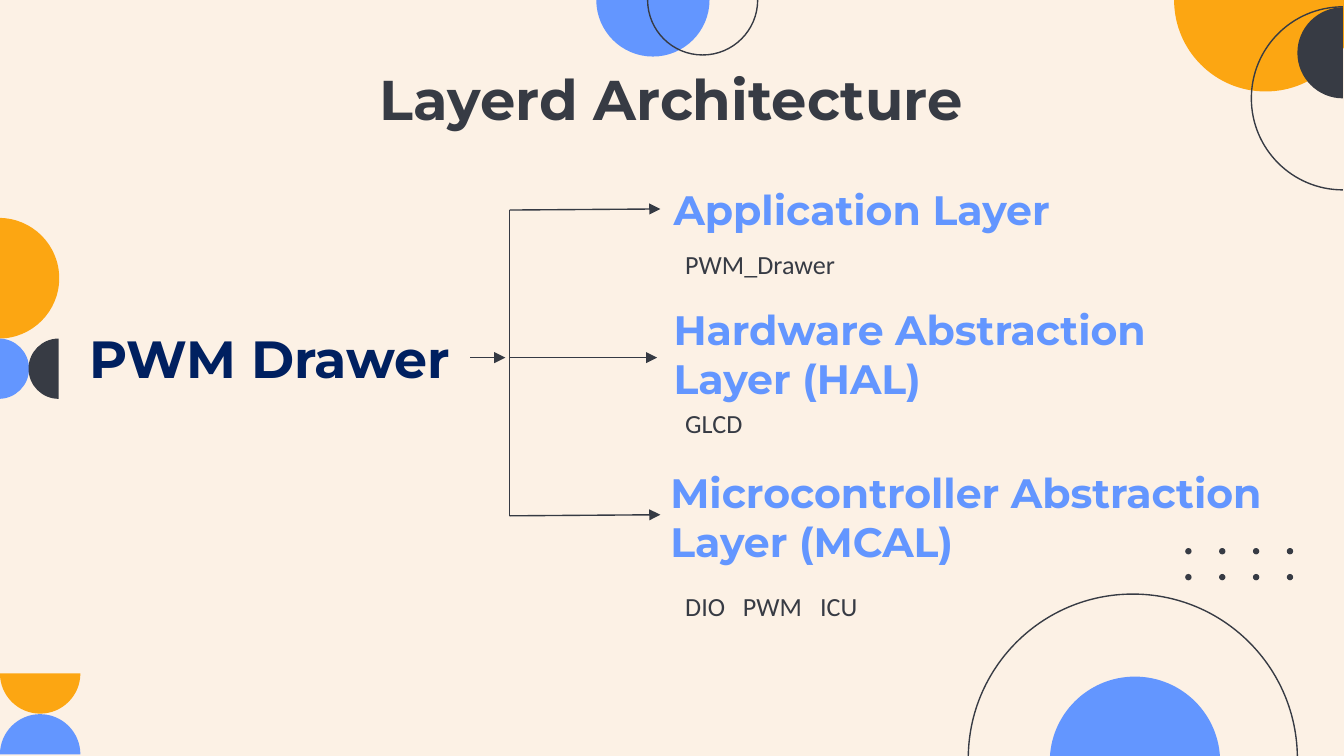
from math import cos, radians, sin

from lxml.etree import SubElement
from pptx import Presentation
from pptx.dml.color import RGBColor
from pptx.enum.shapes import MSO_CONNECTOR, MSO_SHAPE
from pptx.enum.text import MSO_ANCHOR, MSO_AUTO_SIZE, PP_ALIGN
from pptx.oxml.ns import qn
from pptx.util import Cm, Pt

CREAM, DARK, BLUE = "FCF1E5", "373B44", "6396FF"
GOLD, NAVY, LINK = "FCA612", "002060", "353A43"
DOWN, LEFT, UP, RIGHT = 0, 90, 180, 270
BEND = 0.5523

HALVES = [
    (23.92, 0, 1.73, DOWN, GOLD),
    (0.76, 14.26, 0.76, UP, BLUE),
    (0.76, 12.73, 0.76, DOWN, GOLD),
    (12.34, 0, 1.07, DOWN, BLUE),
    (-0.02, 5.26, 1.14, RIGHT, GOLD),
    (-0.02, 6.97, 0.57, RIGHT, BLUE),
    (1.11, 6.97, 0.57, LEFT, DARK),
    (25.38, 1, 0.86, LEFT, DARK),
    (21.45, 14.4, 1.61, UP, BLUE),
]
RINGS = [
    (13.28, 0, 1.04, DOWN),
    (25.38, 1.86, 1.73, LEFT),
    (21.41, 14.34, 3.11, UP),
]
HEADS = [
    ("Application Layer", 12.48, 3.57, 8.84),
    ("Hardware Abstraction Layer (HAL)", 12.48, 6.3, 10.26),
    ("Microcontroller Abstraction Layer (MCAL)", 12.42, 9.38, 12.34),
]
PARTS = [("PWM_Drawer", 4.7), ("GLCD", 7.7), ("DIO\tPWM\tICU", 11.16)]


def paint(form, color):
    """Set the colour of a fill, or of a font."""
    if hasattr(form, "solid"):
        form.solid()
        form.fore_color.rgb = RGBColor.from_string(color)
    else:
        form.color.rgb = RGBColor.from_string(color)


def spot(x, y, size, turn, lean=0):
    """Return the point at an angle of a circle, moved along its tangent."""
    across, along = cos(radians(turn)), sin(radians(turn))
    return (Cm(x + size * (across - lean * along)),
            Cm(y + size * (along + lean * across)))


def add_half(slide, x, y, size, turn, color, ring=False):
    """Draw a half circle round x, y from two curves, clockwise from turn."""
    ends = [spot(x, y, size, turn + step) for step in (0, 90, 180)]
    pen = slide.shapes.build_freeform(*ends[0])
    pen.add_line_segments(ends[1:], close=not ring)
    half = pen.convert_to_shape()
    sides = list(half._element.iter(qn("a:lnTo")))[:2]
    for index, side in enumerate(sides):
        curve = side.makeelement(qn("a:cubicBezTo"))
        start = turn + 90 * index
        for angle, lean in ((start, BEND), (start + 90, -BEND), (start + 90, 0)):
            across, down = spot(x, y, size, angle, lean)
            SubElement(curve, qn("a:pt"), x=str(across - half.left),
                       y=str(down - half.top))
        side.getparent().replace(side, curve)
    half.shadow.inherit = False
    if ring:
        half.fill.background()
        half.line.width = Pt(0.75)
        paint(half.line.fill, color)
    else:
        paint(half.fill, color)
        half.line.fill.background()


def add_dots(slide):
    """Draw the grid of small dots."""
    for row in range(2):
        for col in range(4):
            dot = slide.shapes.add_shape(
                MSO_SHAPE.OVAL, Cm(22.4 + 0.64 * col), Cm(10.36 + 0.49 * row),
                Cm(0.12), Cm(0.12))
            dot.shadow.inherit = False
            paint(dot.fill, DARK)
            dot.line.fill.background()


def style(frame, text, font, size, color, bold, align):
    """Fill a text frame and format its run."""
    frame.text = text
    frame.word_wrap = True
    frame.auto_size = MSO_AUTO_SIZE.NONE
    line = frame.paragraphs[0]
    line.alignment = align
    face = line.runs[0].font
    face.name, face.size, face.bold = font, Pt(size), bold
    paint(face, color)


def add_title(slide, text):
    """Place and format the title."""
    title = slide.shapes.title
    title.left, title.top = Cm(3.54), Cm(0.97)
    title.width, title.height = Cm(18.29), Cm(1.85)
    frame = title.text_frame
    frame.margin_top = frame.margin_bottom = Cm(0.25)
    frame.vertical_anchor = MSO_ANCHOR.TOP
    style(frame, text, "Montserrat", 30, DARK, True, PP_ALIGN.CENTER)


def add_label(slide, text, x, y, wide, high=0.76, font="Montserrat", size=22,
              color=BLUE, bold=True, align=PP_ALIGN.LEFT,
              anchor=MSO_ANCHOR.MIDDLE):
    """Add a text box without space above and below."""
    box = slide.shapes.add_textbox(Cm(x), Cm(y), Cm(wide), Cm(high))
    frame = box.text_frame
    frame.margin_top = frame.margin_bottom = 0
    frame.vertical_anchor = anchor
    style(frame, text, font, size, color, bold, align)
    return box


def add_part(slide, text, y):
    """Add the modules of a layer, set apart by tab stops."""
    box = add_label(slide, text, 12.7, y, 7.49, font="Calibri", size=14,
                    color=DARK, bold=False, anchor=MSO_ANCHOR.TOP)
    if "\t" in text:
        props = box.text_frame.paragraphs[0]._p.get_or_add_pPr()
        stops = SubElement(props, qn("a:tabLst"))
        for stop in (1.09, 2.55):
            SubElement(stops, qn("a:tab"), pos=str(Cm(stop)), algn="l")


def add_link(slide, x, y, to_x, to_y, arrow=True):
    """Draw a thin straight line, with an arrowhead if asked."""
    link = slide.shapes.add_connector(
        MSO_CONNECTOR.STRAIGHT, Cm(x), Cm(y), Cm(to_x), Cm(to_y))
    link.line.width = Pt(0.75)
    paint(link.line.fill, LINK)
    if arrow:
        SubElement(link.line._get_or_add_ln(), qn("a:tailEnd"), type="triangle")
    SubElement(link._element.spPr, qn("a:effectLst"))
    return link


def main():
    """Build the slide and save it."""
    deck = Presentation()
    deck.slide_width, deck.slide_height = Cm(25.4), Cm(14.29)
    slide = deck.slides.add_slide(deck.slide_layouts[5])
    paint(slide.background.fill, CREAM)
    for half in HALVES:
        add_half(slide, *half)
    for ring in RINGS:
        add_half(slide, *ring, DARK, ring=True)
    add_dots(slide)
    add_title(slide, "Layerd Architecture")
    heads = [add_label(slide, *head) for head in HEADS]
    for part in PARTS:
        add_part(slide, *part)
    root = add_label(slide, "PWM Drawer", 1.3, 6.17, 7.59, 1.18, size=28,
                     color=NAVY, align=PP_ALIGN.CENTER)

    trunk, top, mid, low = 9.63, 3.97, 6.76, 9.75
    add_link(slide, trunk, mid, 12.42, mid)
    add_link(slide, trunk, top, 12.48, 3.95).end_connect(heads[0], 1)
    add_link(slide, trunk, top, trunk, mid, arrow=False)
    add_link(slide, trunk, low, 12.48, 9.73)
    add_link(slide, trunk, mid, trunk, low, arrow=False)
    add_link(slide, 8.89, mid, 9.55, mid).begin_connect(root, 3)
    deck.save("out.pptx")


if __name__ == "__main__":
    main()
